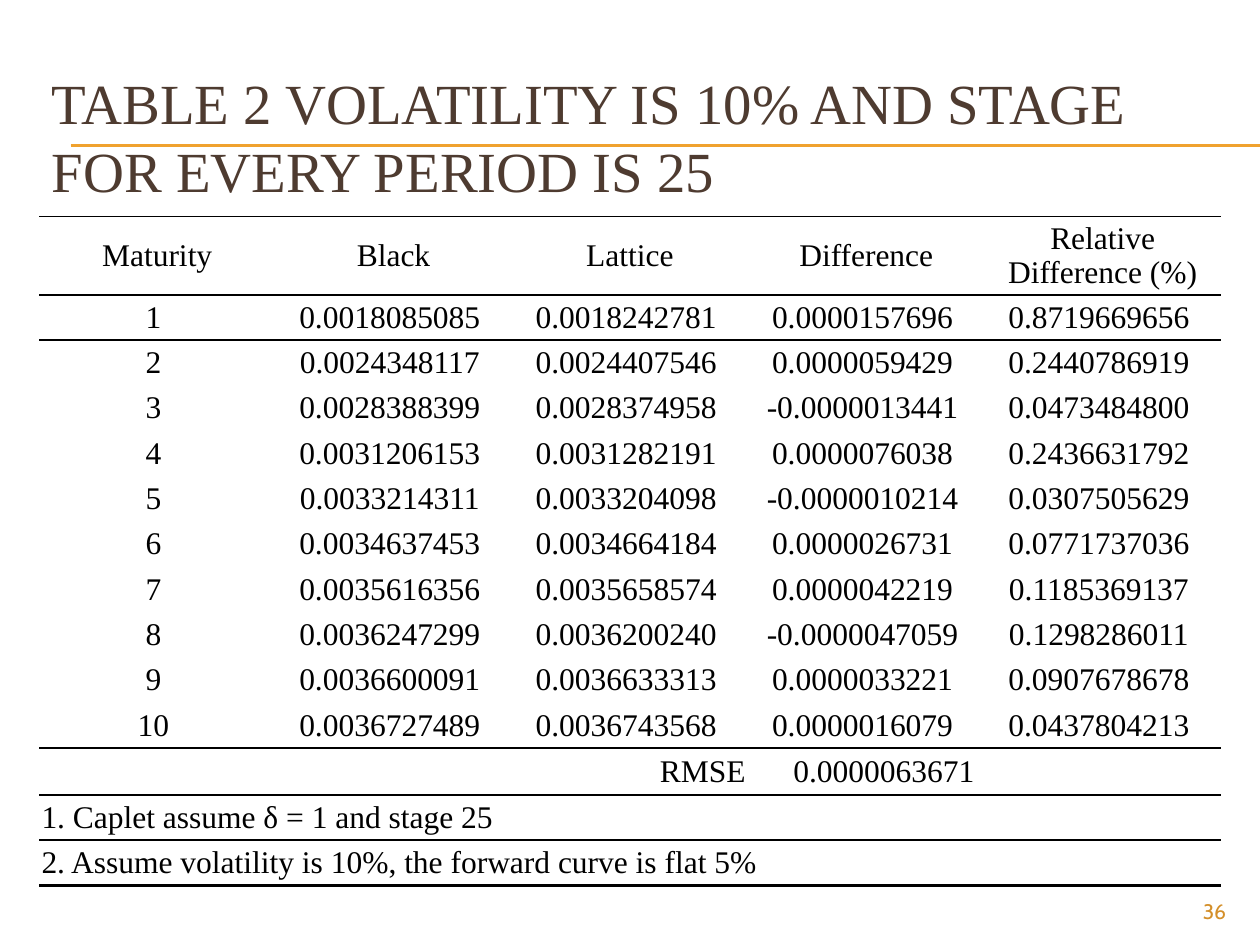
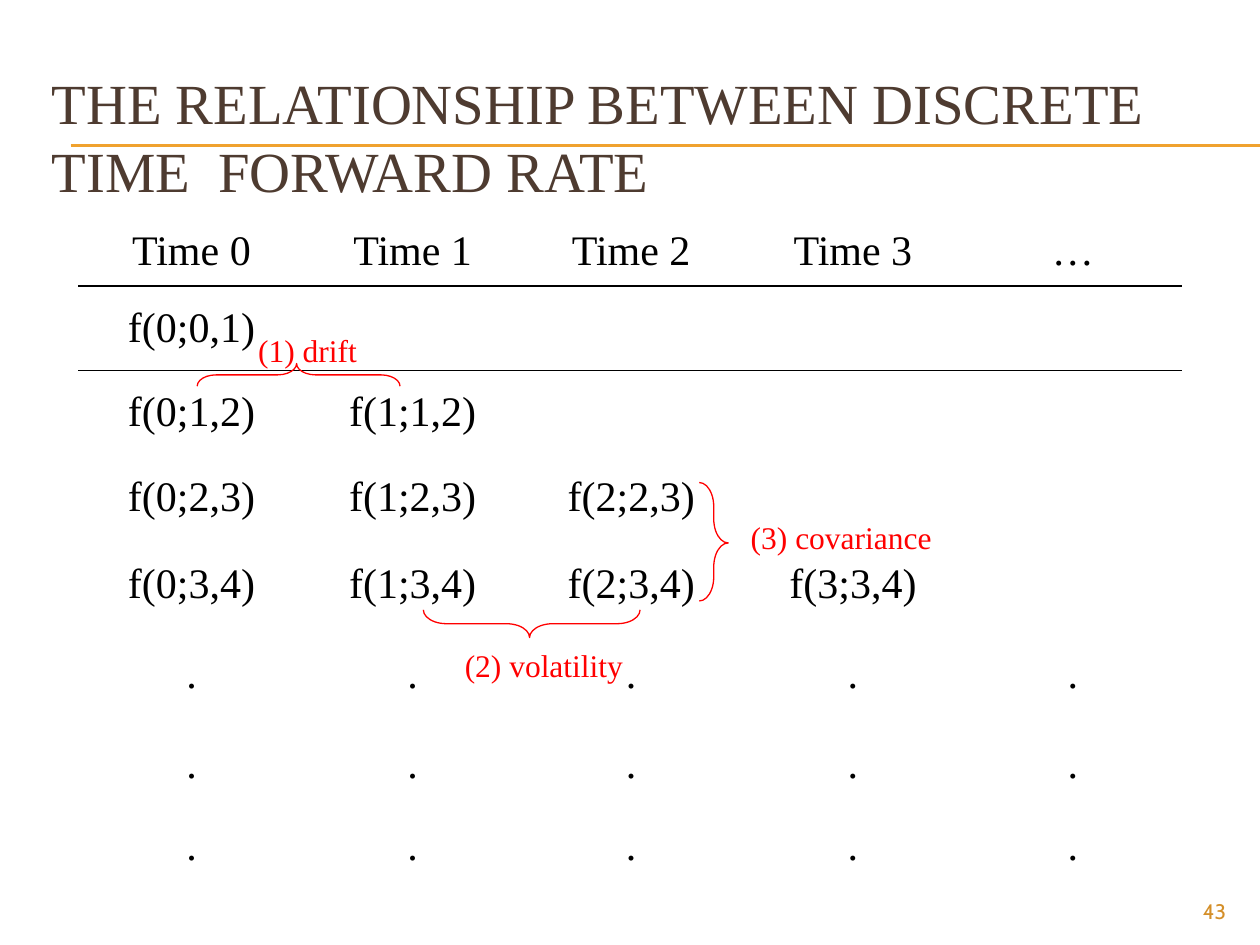
from lxml import etree
from pptx import Presentation
from pptx.dml.color import RGBColor
from pptx.enum.shapes import MSO_CONNECTOR, MSO_SHAPE
from pptx.enum.text import MSO_ANCHOR, MSO_AUTO_SIZE, PP_ALIGN
from pptx.oxml.ns import qn
from pptx.util import Inches, Pt

LEFT, CENTER, RIGHT = PP_ALIGN.LEFT, PP_ALIGN.CENTER, PP_ALIGN.RIGHT
MIDDLE = MSO_ANCHOR.MIDDLE
NO_FIT = MSO_AUTO_SIZE.NONE
STRAIGHT = MSO_CONNECTOR.STRAIGHT
RIGHT_BRACE = MSO_SHAPE.RIGHT_BRACE

SERIF = "Times New Roman"
SANS = "Cabin"
COLORS = {
    "title": "4E3B30",
    "rule": "F0A22E",
    "number": "D48F29",
    "text": "000000",
    "mark": "FF0000",
}
NO_GRID_STYLE = "{2D5ABB26-0587-4C30-8999-92F81FD0307C}"

CAPLETS = [
    ("1", "0.0018085085", "0.0018242781", "0.0000157696", "0.8719669656"),
    ("2", "0.0024348117", "0.0024407546", "0.0000059429", "0.2440786919"),
    ("3", "0.0028388399", "0.0028374958", "-0.0000013441", "0.0473484800"),
    ("4", "0.0031206153", "0.0031282191", "0.0000076038", "0.2436631792"),
    ("5", "0.0033214311", "0.0033204098", "-0.0000010214", "0.0307505629"),
    ("6", "0.0034637453", "0.0034664184", "0.0000026731", "0.0771737036"),
    ("7", "0.0035616356", "0.0035658574", "0.0000042219", "0.1185369137"),
    ("8", "0.0036247299", "0.0036200240", "-0.0000047059", "0.1298286011"),
    ("9", "0.0036600091", "0.0036633313", "0.0000033221", "0.0907678678"),
    ("10", "0.0036727489", "0.0036743568", "0.0000016079", "0.0437804213"),
]


def color(name):
    return RGBColor.from_string(COLORS[name])


class Deck:
    def __init__(self):
        self.file = Presentation()
        self.file.slide_width = Inches(10)
        self.file.slide_height = Inches(7.5)
        self.page = None

    def style(self, para, size, tint="text", font=SERIF, align=LEFT):
        para.alignment = align
        para.font.size = Pt(size)
        para.font.name = font
        para.font.color.rgb = color(tint)

    def add_page(self, title, number):
        self.page = self.file.slides.add_slide(self.file.slide_layouts[5])
        for y in (1.15, 1.16):
            self.rule(0.56, 10, y)
        box = self.page.shapes.title
        box.left, box.top = Inches(0.31), Inches(0.62)
        box.width, box.height = Inches(9.5), Inches(0.92)
        frame = box.text_frame
        frame.text = title
        frame.word_wrap = True
        frame.auto_size = NO_FIT
        frame.vertical_anchor = MIDDLE
        self.style(frame.paragraphs[0], 32.4, "title")
        self.text(number, 9, 7.08, 0.83, 0.27, 12, "number", SANS, RIGHT)

    def rule(self, start, end, y):
        line = self.page.shapes.add_connector(
            STRAIGHT, Inches(start), Inches(y), Inches(end), Inches(y))
        line.line.color.rgb = color("rule")
        line.line.width = Pt(0.75)
        etree.SubElement(line._element.spPr, qn("a:effectLst"))

    def text(self, words, left, top, width, height, size, tint,
             font=SERIF, align=LEFT):
        box = self.page.shapes.add_textbox(
            Inches(left), Inches(top), Inches(width), Inches(height))
        frame = box.text_frame
        frame.word_wrap = True
        frame.text = words
        self.style(frame.paragraphs[0], size, tint, font, align)

    def brace(self, left, top, width, height, turn, tip):
        shape = self.page.shapes.add_shape(
            RIGHT_BRACE, Inches(left), Inches(top), Inches(width), Inches(height))
        shape.shadow.inherit = False
        shape.rotation = turn
        shape.adjustments[0] = 0.835
        shape.adjustments[1] = tip
        shape.fill.background()
        shape.line.color.rgb = color("mark")
        shape.line.width = Pt(0.75)

    def table(self, rows, left, top, widths, heights, size, rules, inset):
        frame = self.page.shapes.add_table(
            len(rows), len(widths), Inches(left), Inches(top),
            Inches(sum(widths)), Inches(sum(heights)))
        table = frame.table
        table.first_row = table.horz_banding = False
        table._tbl.tblPr.find(qn("a:tableStyleId")).text = NO_GRID_STYLE
        for column, width in zip(table.columns, widths):
            column.width = Inches(width)
        for line, height in zip(table.rows, heights):
            line.height = Inches(height)
        for row, values in enumerate(rows):
            for col in range(len(widths)):
                cell = table.cell(row, col)
                cell.margin_left = cell.margin_right = Inches(inset)
                cell.margin_top = cell.margin_bottom = 0
                cell.vertical_anchor = MIDDLE
                cell.fill.background()
                self.border(cell, rules.get(row), rules.get(row + 1))
                cell.text = values[col] if col < len(values) else ""
                self.style(cell.text_frame.paragraphs[0], size, align=CENTER)
        return table

    def border(self, cell, above, below):
        edges = [(tag, width) for tag, width in (("a:lnT", above), ("a:lnB", below))
                 if width]
        for place, (tag, width) in enumerate(edges):
            edge = etree.Element(qn(tag), w=str(Pt(width)))
            fill = etree.SubElement(edge, qn("a:solidFill"))
            etree.SubElement(fill, qn("a:srgbClr"), val=COLORS["text"])
            cell._tc.get_or_add_tcPr().insert(place, edge)


def add_volatility_page(deck):
    deck.add_page("TABLE 2 VOLATILITY IS 10% AND STAGE FOR EVERY PERIOD IS 25", "36")
    rows = [
        ("Maturity", "Black", "Lattice", "Difference", "Relative Difference (%)"),
        *CAPLETS,
        ("", "", "RMSE", "0.0000063671"),
        ("1. Caplet assume δ = 1 and stage 25",),
        ("2. Assume volatility is 10%, the forward curve is flat 5%",),
    ]
    heights = [0.62] + [0.36] * len(CAPLETS) + [0.37, 0.36, 0.36]
    rules = {0: 1, 1: 1, 11: 1, 12: 1, 14: 2.25}
    table = deck.table(rows, 0.31, 1.72, [1.876] * 5, heights, 18, rules, 0.02)
    for row in range(1, 12):
        for col in range(5):
            if rows[row][0] or col == 3:
                table.cell(row, col).margin_right = Inches(0.08)
    for col in (2, 3):
        table.cell(11, col).text_frame.paragraphs[0].alignment = RIGHT
    for row in (12, 13):
        note = table.cell(row, 0)
        note.merge(table.cell(row, 4))
        note.text_frame.paragraphs[0].alignment = LEFT


def add_forward_rate_page(deck):
    deck.add_page("THE RELATIONSHIP BETWEEN DISCRETE TIME  FORWARD RATE", "43")
    header = [f"Time {time}" for time in range(4)] + ["…"]
    rates = [[f"f({time};{start},{start + 1})" for time in range(start + 1)]
             for start in range(4)]
    dots = [["."] * 5] * 3
    widths = [1.8, 1.71, 1.76, 1.76, 1.73]
    heights = [0.55, 0.67, 0.66, 0.69, 0.69, 0.74, 0.69, 0.62]
    deck.table([header] + rates + dots, 0.62, 1.72, widths, heights, 24, {1: 1}, 0.01)
    for words, left, top, width in (
        ("(1) drift", 1.95, 2.58, 1.25),
        ("(2) volatility", 3.59, 5.08, 1.48),
        ("(3) covariance", 5.86, 4.06, 1.72),
    ):
        deck.text(words, left, top, width, 0.4, 18, "mark")
    deck.brace(4.11, 4.09, 0.22, 1.72, 90, 0.51)
    deck.brace(2.28, 2.17, 0.18, 1.61, 270, 0.49)
    deck.brace(5.55, 3.83, 0.23, 0.94, 0, 0.51)


def main():
    deck = Deck()
    add_volatility_page(deck)
    add_forward_rate_page(deck)
    deck.file.save("out.pptx")


if __name__ == "__main__":
    main()
